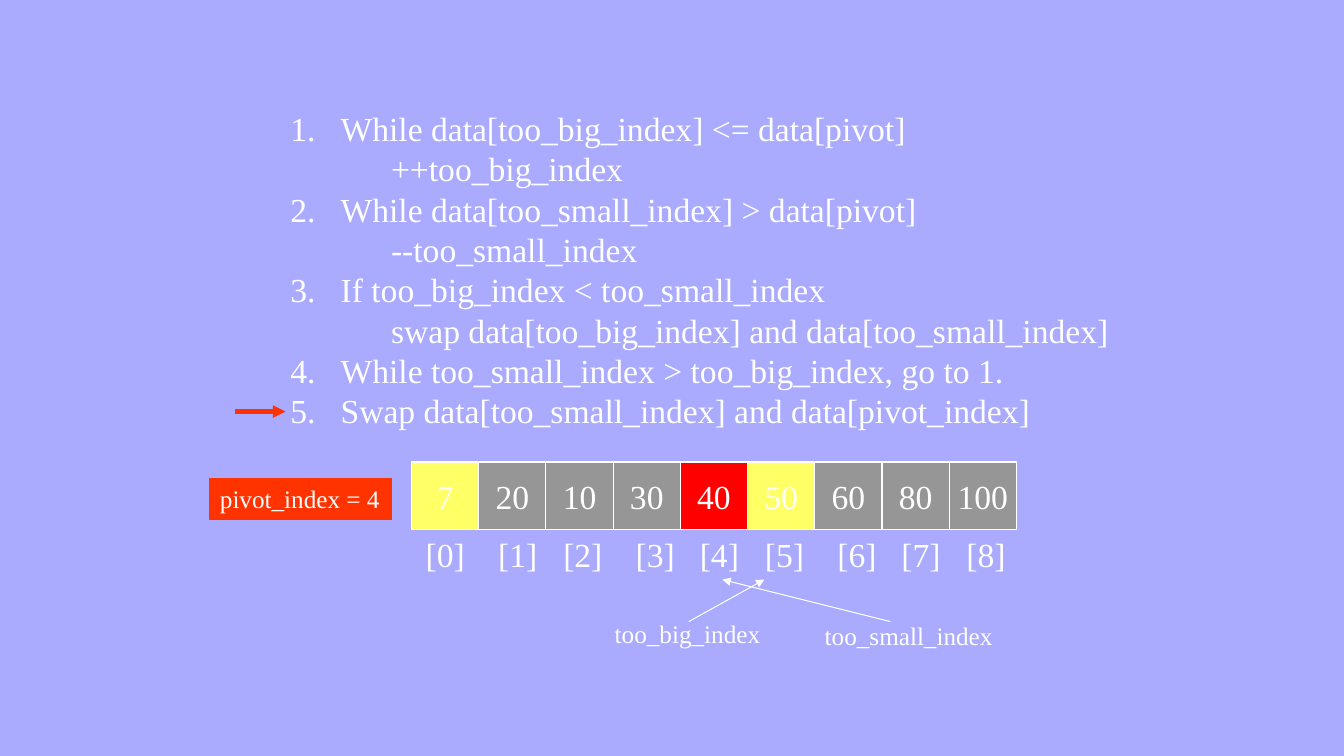
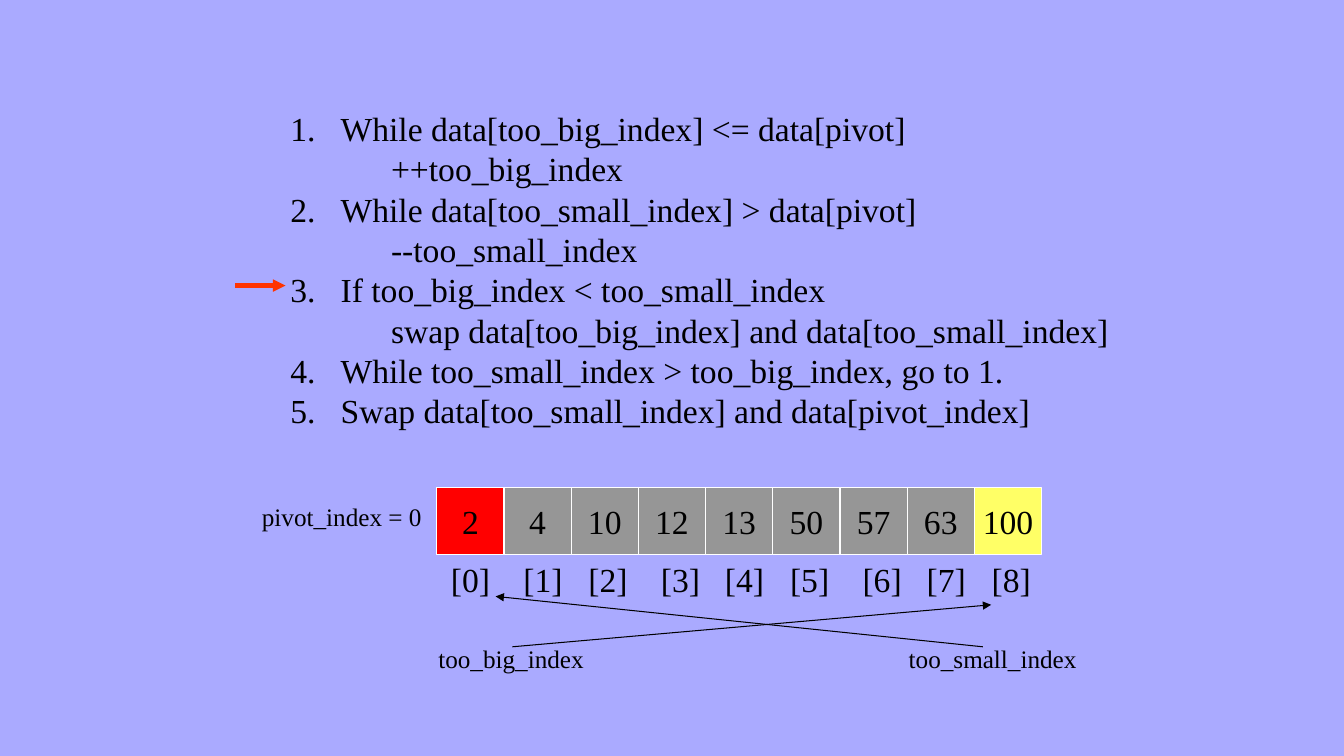
"""Two slides that trace the partition steps of quicksort on an array."""
import pptx
import pptx.dml.color
import pptx.enum.shapes
import pptx.enum.text
import pptx.oxml
import pptx.oxml.ns
import pptx.util

PX = 9525
CELL = 64
FONT = "Times New Roman"
COLORS = {
    "background": "AAAAFF",
    "white": "FFFFFF",
    "black": "000000",
    "cell": "969696",
    "pivot": "FF0000",
    "marked": "FFFF66",
    "accent": "FF3300",
}
STEPS = [
    (0, "While data[too_big_index] <= data[pivot]"),
    (1, "++too_big_index"),
    (0, "While data[too_small_index] > data[pivot]"),
    (1, "--too_small_index"),
    (0, "If too_big_index < too_small_index"),
    (1, "swap data[too_big_index] and data[too_small_index]"),
    (0, "While too_small_index > too_big_index, go to 1."),
    (0, "Swap data[too_small_index] and data[pivot_index]"),
]
INDEX_STOPS = [69, 131, 200, 261, 323, 392, 453, 515]
TEXT_FRAME = {"word_wrap": True, "vertical_anchor": pptx.enum.text.MSO_ANCHOR.TOP}
FIXED_FRAME = {"word_wrap": False, "vertical_anchor": pptx.enum.text.MSO_ANCHOR.TOP}
CELL_FRAME = {"word_wrap": False, "vertical_anchor": pptx.enum.text.MSO_ANCHOR.MIDDLE}
LEFT = pptx.enum.text.PP_ALIGN.LEFT
CENTER = pptx.enum.text.PP_ALIGN.CENTER

SLIDES = [
    {
        "text": "white",
        "step_arrow": 392,
        "array": (392, 440),
        "values": [7, 20, 10, 30, 40, 50, 60, 80, 100],
        "fills": {0: "marked", 4: "pivot", 5: "marked"},
        "pivot": ("pivot_index = 4", (200, 456, 173, 39), "accent"),
        "labels": [
            ("too_big_index", (576, 584, 304, 38)),
            ("too_small_index", (776, 586, 224, 38)),
        ],
        "arrows": [(848, 592, 688, 552), (656, 592, 728, 552)],
    },
    {
        "text": "black",
        "step_arrow": 272,
        "array": (416, 464),
        "values": [2, 4, 10, 12, 13, 50, 57, 63, 100],
        "fills": {0: "pivot", 8: "marked"},
        "pivot": ("pivot_index = 0", (240, 473, 172, 38), None),
        "labels": [
            ("too_big_index", (408, 608, 304, 38)),
            ("too_small_index", (856, 608, 224, 38)),
        ],
        "arrows": [(936, 616, 472, 568), (488, 616, 944, 576)],
    },
]


def add_box(slide, box, lines, color, size, frame=TEXT_FRAME, align=LEFT, fill=None, line=None):
    """Add a text box, or a rectangle when a fill is named, and return its paragraphs."""
    place = [value * PX for value in box]
    if fill:
        shape = slide.shapes.add_shape(pptx.enum.shapes.MSO_SHAPE.RECTANGLE, *place)
        shape.shadow.inherit = False
        shape.fill.solid()
        shape.fill.fore_color.rgb = pptx.dml.color.RGBColor.from_string(COLORS[fill])
        shape.line.color.rgb = pptx.dml.color.RGBColor.from_string(COLORS[line])
        shape.line.width = pptx.util.Pt(0.75)
    else:
        shape = slide.shapes.add_textbox(*place)
    for name, value in frame.items():
        setattr(shape.text_frame, name, value)
    for number, text in enumerate(lines):
        paragraph = shape.text_frame.add_paragraph() if number else shape.text_frame.paragraphs[0]
        paragraph.alignment = align
        run = paragraph.add_run()
        run.text = text
        for name, value in {"name": FONT, "size": pptx.util.Pt(size)}.items():
            setattr(run.font, name, value)
        run.font.color.rgb = pptx.dml.color.RGBColor.from_string(COLORS[color])
    return shape.text_frame.paragraphs


def add_arrow(slide, ends, color, width):
    """Add a straight arrow that points at its second end."""
    arrow = slide.shapes.add_connector(
        pptx.enum.shapes.MSO_CONNECTOR.STRAIGHT, *[value * PX for value in ends])
    arrow.line.color.rgb = pptx.dml.color.RGBColor.from_string(COLORS[color])
    arrow.line.width = pptx.util.Pt(width)
    pptx.oxml.ns.qn("a:ln")
    head = arrow.line._get_or_add_ln().makeelement(pptx.oxml.ns.qn("a:tailEnd"), {"type": "triangle"})
    arrow.line._get_or_add_ln().append(head)
    properties = arrow._element.spPr
    properties.append(properties.makeelement(pptx.oxml.ns.qn("a:effectLst"), {}))


presentation = pptx.Presentation()
presentation.slide_width = 1280 * PX
presentation.slide_height = 720 * PX
background = presentation.slide_master.background.fill
background.solid()
background.fore_color.rgb = pptx.dml.color.RGBColor.from_string(COLORS["background"])

for content in SLIDES:
    slide = presentation.slides.add_slide(presentation.slide_layouts[6])
    color = content["text"]
    left, top = content["array"]

    paragraphs = add_box(slide, (267, 98, 805, 436), [text for level, text in STEPS], color, 24)
    for paragraph, (level, text) in zip(paragraphs, STEPS):
        paragraph.level = level
        paragraph.line_spacing = pptx.util.Pt(28.8)
        properties = paragraph._p.get_or_add_pPr()
        properties.set("marL", str(48 * (level + 1) * PX))
        properties.set("indent", str(0 if level else -48 * PX))
        tag, options = ("a:buNone", {}) if level else ("a:buAutoNum", {"type": "arabicPeriod"})
        properties.append(properties.makeelement(pptx.oxml.ns.qn(tag), options))
    add_arrow(slide, (224, content["step_arrow"], 272, content["step_arrow"]), "accent", 3)

    for index, value in enumerate(content["values"]):
        add_box(slide, (left + index * CELL, top, CELL, CELL), [str(value)], color, 24,
                CELL_FRAME, CENTER, content["fills"].get(index, "cell"), "white")

    text, box, fill = content["pivot"]
    add_box(slide, box, [text], color, 18, FIXED_FRAME, LEFT, fill, fill)

    indexes = "\t".join(f"[{index}]" for index in range(len(content["values"])))
    paragraph = add_box(slide, (left + 4, top + CELL, 600, 48), [indexes], color, 24)[0]
    properties = paragraph._p.get_or_add_pPr()
    tabs = properties.makeelement(pptx.oxml.ns.qn("a:tabLst"), {})
    properties.append(tabs)
    for stop in INDEX_STOPS:
        tabs.append(tabs.makeelement(pptx.oxml.ns.qn("a:tab"), {"pos": str(stop * PX), "algn": "l"}))

    for text, box in content["labels"]:
        add_box(slide, box, [text], color, 18)
    for ends in content["arrows"]:
        add_arrow(slide, ends, color, 0.75)

presentation.save("out.pptx")
